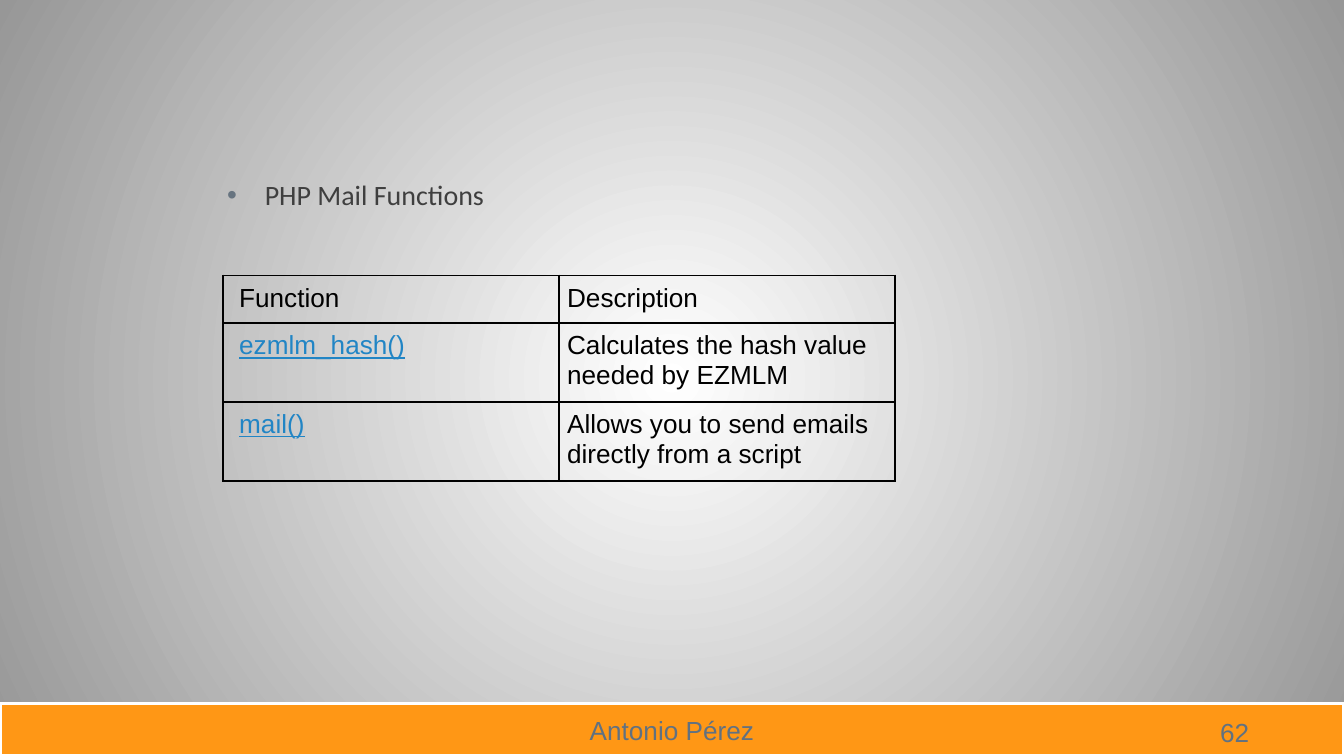
import pptx
import pptx.dml.color
import pptx.enum.shapes
import pptx.enum.text
import pptx.oxml
import pptx.oxml.ns
import pptx.util

Inches = pptx.util.Inches
Pt = pptx.util.Pt
qn = pptx.oxml.ns.qn

SLIDE_WIDTH = Inches(10)
SLIDE_HEIGHT = SLIDE_WIDTH * 9 // 16
BLACK = "000000"
LINK_BLUE = "2185C5"
FOOTER_GREY = "617181"
FUNCTIONS = [
    ("Function", "Description"),
    ("ezmlm_hash()", "Calculates the hash value needed by EZMLM"),
    ("mail()", "Allows you to send emails directly from a script"),
]


def rgb(color):
    return pptx.dml.color.RGBColor.from_string(color)


def add_xml(parent, xml, index=None):
    """Put a DrawingML element into parent, at the end unless index is given."""
    namespace = pptx.oxml.ns.nsdecls("a")
    element = pptx.oxml.parse_xml(f"<a:root {namespace}>{xml}</a:root>")[0]
    parent.insert(len(parent) if index is None else index, element)


def add_run(paragraph, text, color, size=14, font="Arial", underline=None):
    run = paragraph.add_run()
    run.text = text
    run.font.name = font
    run.font.size = Pt(size)
    run.font.color.rgb = rgb(color)
    run.font.underline = underline


def set_radial_background(slide, center, edge):
    fill = slide.background.fill
    fill.gradient()
    for stop, color in zip(fill.gradient_stops, (center, edge)):
        stop.color.rgb = rgb(color)
    gradient = next(slide.element.iter(qn("a:gradFill")))
    gradient.remove(gradient.find(qn("a:lin")))
    add_xml(gradient, '<a:path path="circle"><a:fillToRect l="50000" t="50000" '
                      'r="50000" b="50000"/></a:path>')


def add_footer_bar(slide, text):
    height = Inches(0.39)
    bar = slide.shapes.add_shape(pptx.enum.shapes.MSO_SHAPE.RECTANGLE,
                                 Inches(0), SLIDE_HEIGHT - height,
                                 SLIDE_WIDTH, height)
    bar.shadow.inherit = False
    bar.fill.solid()
    bar.fill.fore_color.rgb = rgb("FF9715")
    bar.line.color.rgb = rgb("FFFFFF")
    bar.line.width = Pt(2)
    bar.text_frame.vertical_anchor = pptx.enum.text.MSO_ANCHOR.MIDDLE
    paragraph = bar.text_frame.paragraphs[0]
    paragraph.alignment = pptx.enum.text.PP_ALIGN.CENTER
    add_run(paragraph, text, FOOTER_GREY)


def add_text_box(slide, left, top, width, height):
    box = slide.shapes.add_textbox(Inches(left), Inches(top),
                                   Inches(width), Inches(height))
    box.text_frame.word_wrap = True
    return box.text_frame


def add_page_number(slide, number):
    frame = add_text_box(slide, 8.98, 5.28, 0.6, 0.34)
    add_run(frame.paragraphs[0], number, FOOTER_GREY)


def add_bullet(slide, text):
    frame = add_text_box(slide, 1.62, 1.31, 6.75, 3.71)
    frame.margin_left = frame.margin_right = Inches(0.07)
    frame.margin_top = frame.margin_bottom = Inches(0.04)
    paragraph = frame.paragraphs[0]
    paragraph.line_spacing = 0.9
    properties = paragraph._p.get_or_add_pPr()
    properties.set("marL", str(Inches(0.28)))
    properties.set("indent", str(-Inches(0.28)))
    add_xml(properties, '<a:buClr><a:srgbClr val="677480"/></a:buClr>')
    add_xml(properties, '<a:buFont typeface="Arial"/>')
    add_xml(properties, '<a:buChar char="•"/>')
    add_run(paragraph, text, "3F3F3F", size=15, font="Calibri")


def set_borders(cell):
    properties = cell._tc.get_or_add_tcPr()
    for index, side in enumerate(("lnL", "lnR", "lnT", "lnB")):
        add_xml(properties, f'<a:{side} w="{Pt(1)}"><a:solidFill><a:srgbClr '
                            f'val="{BLACK}"/></a:solidFill></a:{side}>', index)


def add_function_table(slide):
    table = slide.shapes.add_table(len(FUNCTIONS), 2, Inches(1.66), Inches(2.05),
                                   Inches(5), Inches(1.49)).table
    table.first_row = table.horz_banding = False
    for row_index, texts in enumerate(FUNCTIONS):
        table.rows[row_index].height = Inches(0.57 if row_index else 0.35)
        for column_index, text in enumerate(texts):
            cell = table.cell(row_index, column_index)
            cell.margin_left = Inches(0.06 if column_index else 0.12)
            cell.margin_right = cell.margin_top = cell.margin_bottom = Inches(0.06)
            cell.fill.background()
            set_borders(cell)
            is_link = row_index > 0 and column_index == 0
            add_run(cell.text_frame.paragraphs[0], text,
                    LINK_BLUE if is_link else BLACK, underline=is_link)


def main():
    presentation = pptx.Presentation()
    presentation.slide_width = SLIDE_WIDTH
    presentation.slide_height = SLIDE_HEIGHT
    slide = presentation.slides.add_slide(presentation.slide_layouts[6])
    set_radial_background(slide, "FFFFFF", "979797")
    add_footer_bar(slide, "Antonio Pérez")
    add_page_number(slide, "62")
    add_bullet(slide, "PHP Mail Functions")
    add_function_table(slide)
    presentation.save("out.pptx")


if __name__ == "__main__":
    main()
